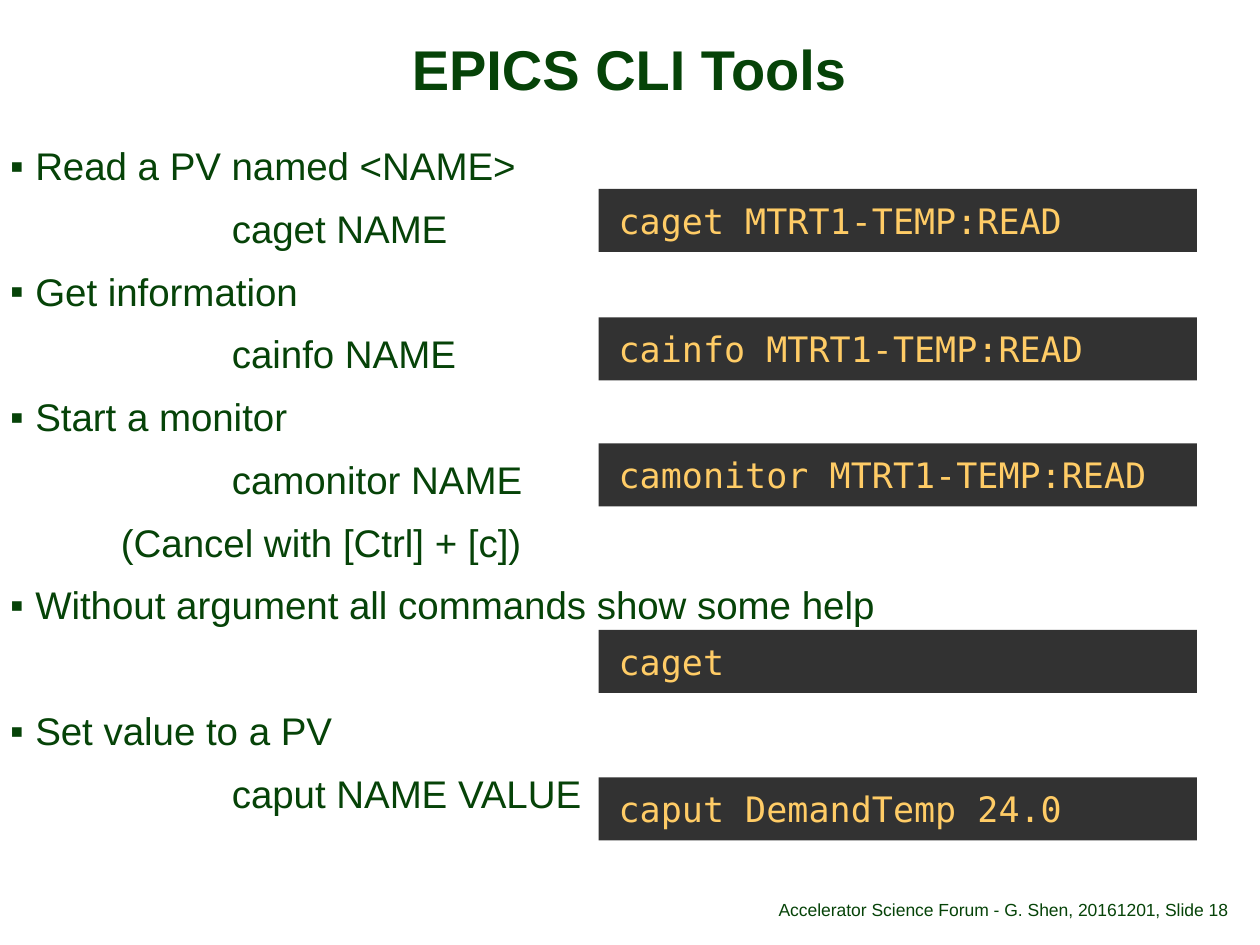
from dataclasses import dataclass

from lxml import etree
from pptx import Presentation
from pptx.dml.color import RGBColor
from pptx.enum.shapes import MSO_SHAPE
from pptx.enum.text import MSO_ANCHOR, MSO_AUTO_SIZE, PP_ALIGN
from pptx.oxml.ns import qn
from pptx.util import Inches, Pt

RECTANGLE = MSO_SHAPE.RECTANGLE
TOP, MIDDLE, BOTTOM = MSO_ANCHOR.TOP, MSO_ANCHOR.MIDDLE, MSO_ANCHOR.BOTTOM
LEFT, CENTER, RIGHT = PP_ALIGN.LEFT, PP_ALIGN.CENTER, PP_ALIGN.RIGHT
NO_AUTOSIZE = MSO_AUTO_SIZE.NONE

GREEN, CHARCOAL, AMBER = "064308", "323232", "FFCC66"
INDENT_STEP = 0.88
BULLET_INDENT = 0.2
LINE_GAP = 12.1
WIDE_GAP = 48


@dataclass
class BodyLine:
    text: str
    indent_steps: int = 0
    space_before: float = LINE_GAP


@dataclass
class Command:
    text: str
    top: float


@dataclass
class FooterPart:
    text: str
    left: float
    width: float
    alignment: PP_ALIGN


BODY_LINES = [
    BodyLine("Read a PV named <NAME>", space_before=0),
    BodyLine("caget NAME", 2),
    BodyLine("Get information"),
    BodyLine("cainfo NAME", 2),
    BodyLine("Start a monitor"),
    BodyLine("camonitor NAME", 2),
    BodyLine("(Cancel with [Ctrl] + [c])", 1),
    BodyLine("Without argument all commands show some help"),
    BodyLine("Set value to a PV", space_before=WIDE_GAP),
    BodyLine("caput NAME VALUE", 2),
]
COMMANDS = [
    Command("caget MTRT1-TEMP:READ", 1.5),
    Command("cainfo MTRT1-TEMP:READ", 2.52),
    Command("camonitor MTRT1-TEMP:READ", 3.52),
    Command("caget", 5),
    Command("caput DemandTemp 24.0", 6.17),
]
FOOTER_PARTS = [
    FooterPart("Accelerator Science Forum - G. Shen, 20161201", 4.53, 4.64, RIGHT),
    FooterPart(", Slide 18", 9.17, 0.83, LEFT),
]


def color(value: str) -> RGBColor:
    return RGBColor.from_string(value)


def apply(target, values: dict) -> None:
    for name, value in values.items():
        setattr(target, name, value)


def place(shape, left: float, top: float, width: float, height: float) -> None:
    apply(shape, {"left": Inches(left), "top": Inches(top),
                  "width": Inches(width), "height": Inches(height)})


def format_frame(frame, anchor, horizontal: float, vertical: float) -> None:
    apply(frame, {"word_wrap": True, "auto_size": NO_AUTOSIZE, "vertical_anchor": anchor,
                  "margin_left": Inches(horizontal), "margin_right": Inches(horizontal),
                  "margin_top": Inches(vertical), "margin_bottom": Inches(vertical)})


def write(paragraph, text: str, size: float, alignment=LEFT, line_spacing: float = 0.9,
          space_before: float = 0, font: str = "Arial", ink: str = GREEN,
          bold: bool = False) -> None:
    paragraph.text = text
    apply(paragraph, {"alignment": alignment, "line_spacing": line_spacing,
                      "space_before": Pt(space_before)})
    apply(paragraph.runs[0].font, {"name": font, "size": Pt(size), "bold": bold})
    paragraph.runs[0].font.color.rgb = color(ink)


def set_indent(paragraph, indent_steps: int) -> None:
    properties = paragraph._p.get_or_add_pPr()
    if indent_steps:
        properties.set("marL", str(Inches(indent_steps * INDENT_STEP)))
        properties.set("indent", "0")
        etree.SubElement(properties, qn("a:buNone"))
    else:
        properties.set("marL", str(Inches(BULLET_INDENT)))
        properties.set("indent", str(-Inches(BULLET_INDENT)))
        etree.SubElement(properties, qn("a:buFont"), typeface="Arial")
        etree.SubElement(properties, qn("a:buChar"), char="▪")


def fill_title(title) -> None:
    place(title, 0.08, 0.31, 9.83, 0.53)
    format_frame(title.text_frame, MIDDLE, 0.06, 0.02)
    write(title.text_frame.paragraphs[0], "EPICS CLI Tools", 32, CENTER, 0.88, bold=True)


def fill_body(body, lines: list[BodyLine]) -> None:
    place(body, 0.08, 1.17, 9.83, 5.5)
    frame = body.text_frame
    format_frame(frame, TOP, 0, 0)
    for index, line in enumerate(lines):
        paragraph = frame.add_paragraph() if index else frame.paragraphs[0]
        set_indent(paragraph, line.indent_steps)
        write(paragraph, line.text, 22, space_before=line.space_before)


def add_footer_part(slide, part: FooterPart) -> None:
    shape = slide.shapes.add_textbox(0, 0, 0, 0)
    place(shape, part.left, 6.95, part.width, 0.4)
    format_frame(shape.text_frame, BOTTOM, 0, 0.05)
    write(shape.text_frame.paragraphs[0], part.text, 10, part.alignment)


def add_command(slide, command: Command) -> None:
    shape = slide.shapes.add_shape(RECTANGLE, 0, 0, 0, 0)
    place(shape, 4.75, command.top, 4.75, 0.5)
    shape.shadow.inherit = False
    shape.fill.solid()
    shape.fill.fore_color.rgb = color(CHARCOAL)
    shape.line.fill.background()
    format_frame(shape.text_frame, TOP, 0.16, 0.08)
    write(shape.text_frame.paragraphs[0], command.text, 20, line_spacing=1.0,
          font="DejaVu Sans Mono", ink=AMBER)


def main() -> None:
    presentation = Presentation()
    apply(presentation, {"slide_width": Inches(10), "slide_height": Inches(7.5)})
    slide = presentation.slides.add_slide(presentation.slide_layouts[1])
    fill_title(slide.shapes.title)
    fill_body(slide.placeholders[1], BODY_LINES)
    for part in FOOTER_PARTS:
        add_footer_part(slide, part)
    for command in COMMANDS:
        add_command(slide, command)
    presentation.save("out.pptx")


if __name__ == "__main__":
    main()
